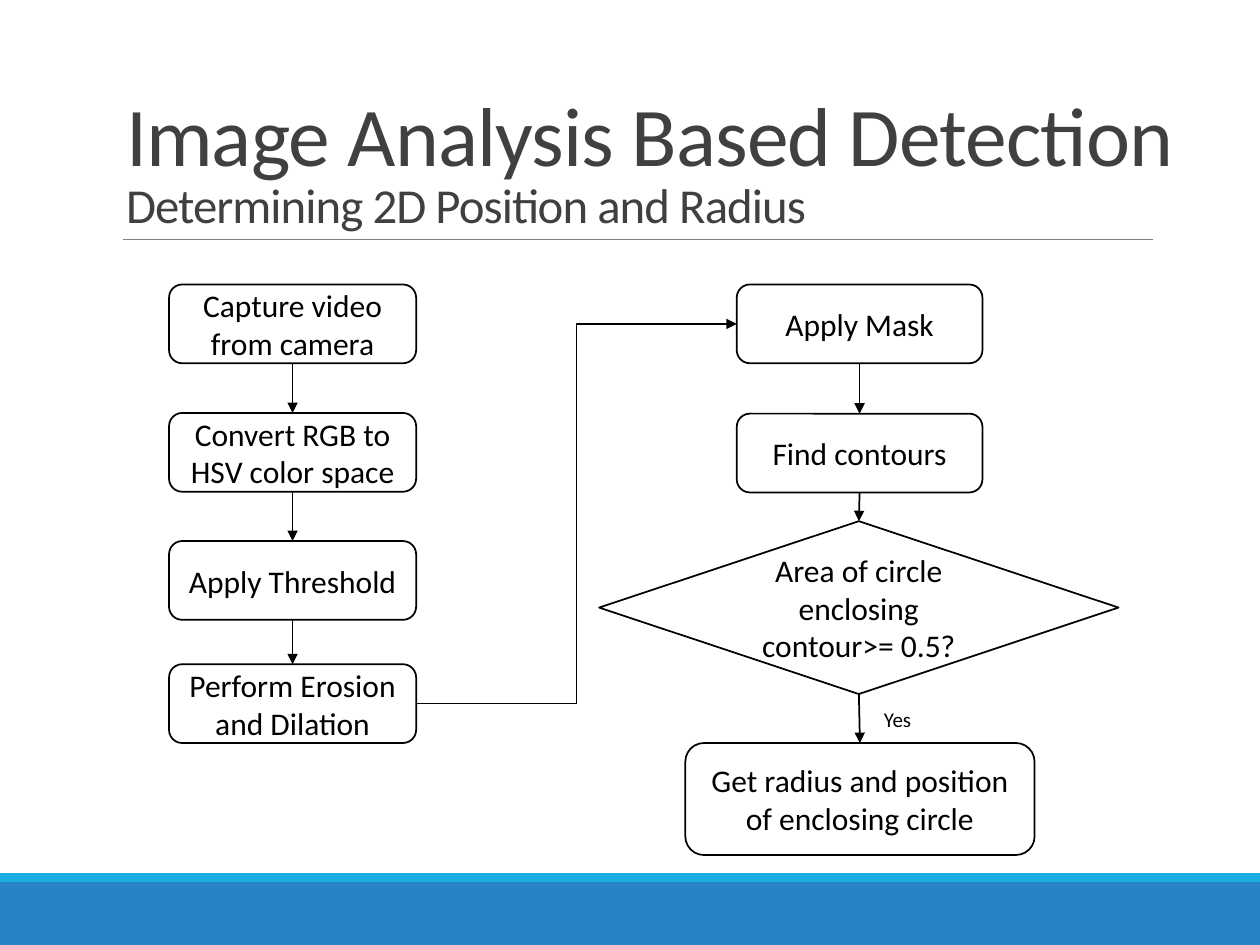
from dataclasses import dataclass

from pptx import Presentation
from pptx.dml.color import RGBColor
from pptx.enum.shapes import MSO_CONNECTOR as Line, MSO_SHAPE as Shape
from pptx.enum.text import MSO_ANCHOR as Anchor, MSO_AUTO_SIZE as AutoSize, PP_ALIGN as Align
from pptx.oxml.ns import qn
from pptx.util import Pt
from lxml.etree import SubElement


@dataclass(frozen=True)
class Theme:
    font: str = "Calibri"
    ink: str = "000000"
    paper: str = "FFFFFF"
    heading: str = "404040"
    rule: str = "808080"
    band: str = "2683C6"
    accent: str = "1CADE4"
    title_size: float = 47.7
    subtitle_size: float = 27.9
    step_size: float = 18
    label_size: float = 12


THEME = Theme()
TOP, LEFT, BOTTOM, RIGHT = range(4)  # connection sites


def rgb(color):
    return RGBColor.from_string(color)


def add_run(p, text, size, color=THEME.ink, spacing=None):
    r = p.add_run()
    r.text = text
    r.font.name, r.font.size = THEME.font, Pt(size)
    r.font.color.rgb = rgb(color)
    if spacing is not None:
        r.font._element.set("spc", str(int(spacing * 100)))


def add_box(s, kind, x, y, w, h, fill, line=None):
    sp = s.shapes.add_shape(kind, Pt(x), Pt(y), Pt(w), Pt(h))
    sp.shadow.inherit = False
    sp.fill.solid()
    sp.fill.fore_color.rgb = rgb(fill)
    if line:
        sp.line.color.rgb = rgb(line)
        sp.line.width = Pt(1)
    else:
        sp.line.fill.background()
    return sp


def add_step(s, text, x, y, w, h=45, kind=Shape.ROUNDED_RECTANGLE):
    sp = add_box(s, kind, x, y, w, h, THEME.paper, THEME.ink)
    tf = sp.text_frame
    tf.word_wrap, tf.vertical_anchor = True, Anchor.MIDDLE
    p = tf.paragraphs[0]
    p.alignment = Align.CENTER
    add_run(p, text, THEME.step_size)
    return sp


def add_line(s, x1=0, y1=0, x2=0, y2=0, kind=Line.STRAIGHT, color=THEME.ink, width=1):
    cx = s.shapes.add_connector(kind, Pt(x1), Pt(y1), Pt(x2), Pt(y2))
    cx.line.color.rgb = rgb(color)
    cx.line.width = Pt(width)
    SubElement(cx._element.spPr, qn("a:effectLst"))
    return cx


def add_arrow(s, start, end, sites=(BOTTOM, TOP), kind=Line.STRAIGHT):
    cx = add_line(s, kind=kind)
    cx.begin_connect(start, sites[0])
    cx.end_connect(end, sites[1])
    SubElement(cx.line._get_or_add_ln(), qn("a:tailEnd"), type="triangle")


def add_label(s, text, x, y, w, h):
    tf = s.shapes.add_textbox(Pt(x), Pt(y), Pt(w), Pt(h)).text_frame
    tf.word_wrap = True
    p = tf.paragraphs[0]
    p.alignment = Align.JUSTIFY
    add_run(p, text, THEME.label_size)


def set_title(s, title, subtitle):
    sp = s.shapes.title
    sp.left, sp.top, sp.width, sp.height = Pt(64.8), Pt(22.3), Pt(613.4), Pt(114.5)
    tf = sp.text_frame
    tf.word_wrap, tf.auto_size = True, AutoSize.NONE
    tf.vertical_anchor, tf.margin_right = Anchor.BOTTOM, 0
    p = tf.paragraphs[0]
    p.alignment, p.line_spacing = Align.LEFT, 0.85
    add_run(p, title, THEME.title_size, THEME.heading, -0.5)
    p.add_line_break()
    add_run(p, subtitle, THEME.subtitle_size, THEME.heading, -0.5)


def main():
    prs = Presentation()
    prs.slide_width, prs.slide_height = Pt(720), Pt(540)
    s = prs.slides.add_slide(prs.slide_layouts[5])

    # Footer bands, heading and rule
    add_box(s, Shape.RECTANGLE, 0, 504, 720, 36, THEME.band)
    add_box(s, Shape.RECTANGLE, 0, 499, 720, 5, THEME.accent)
    add_line(s, 70.5, 136.8, 658.8, 136.8, color=THEME.rule, width=0.5)
    set_title(s, "Image Analysis Based Detection", "Determining 2D Position and Radius")

    # Left column: preparing the frame
    prepare = [add_step(s, text, 96.6, y, 141.2) for text, y in (
        ("Capture video from camera", 162.6),
        ("Convert RGB to HSV color space", 236),
        ("Apply Threshold", 309.2),
        ("Perform Erosion and Dilation", 379.6),
    )]

    # Right column: finding the circle
    mask = add_step(s, "Apply Mask", 421, 162.6, 140.4)
    contours = add_step(s, "Find contours", 421, 236.4, 140.4)
    decision = add_step(s, "Area of circle enclosing contour>= 0.5?",
                        342.4, 297.8, 296.8, 98.8, Shape.FLOWCHART_DECISION)
    result = add_step(s, "Get radius and position of enclosing circle",
                      391.6, 424.6, 199.6, 64)
    add_label(s, "Yes", 498, 400, 34, 25)

    # Arrows down each column, and the bend between them
    for column in (prepare, [mask, contours, decision, result]):
        for start, end in zip(column, column[1:]):
            add_arrow(s, start, end)
    add_arrow(s, prepare[-1], mask, (RIGHT, LEFT), Line.ELBOW)

    prs.save("out.pptx")


if __name__ == "__main__":
    main()
